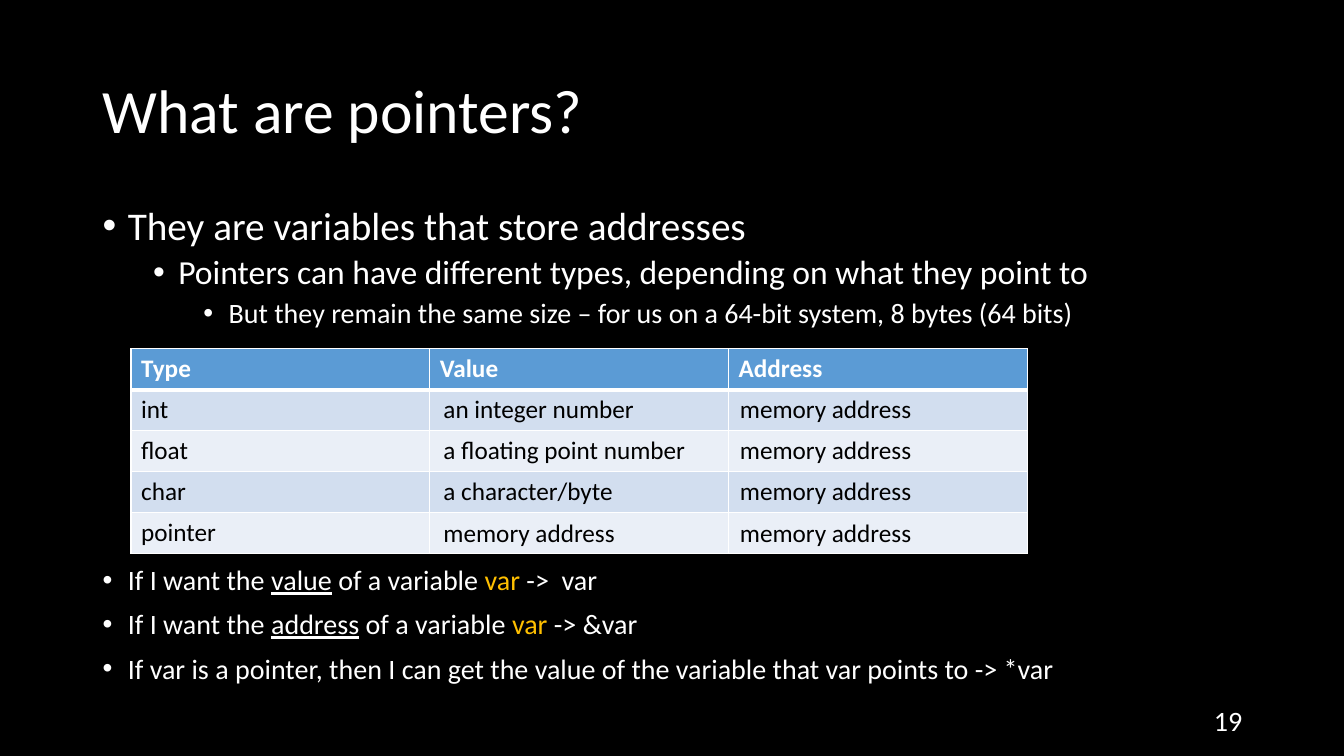
from dataclasses import dataclass

from lxml.etree import SubElement
from pptx import Presentation
from pptx.dml.color import RGBColor
from pptx.enum.text import MSO_ANCHOR, PP_ALIGN
from pptx.oxml.ns import qn
from pptx.util import Inches, Pt


@dataclass(frozen=True)
class Theme:
    font: str = "Calibri"
    back: str = "000000"
    light: str = "FFFFFF"
    dark: str = "000000"
    accent: str = "FFC000"
    head: str = "5B9BD5"
    bands: tuple = ("D2DEEF", "EAEFF7")
    title: int = 44
    levels: tuple = (28, 24, 20)
    small: int = 20
    cell: int = 18


def write(para, text, size, color, font, bold=False, under=False):
    """Add one formatted run to a paragraph."""
    run = para.add_run()
    run.text = text
    run.font.name = font
    run.font.size = Pt(size)
    run.font.bold = bold
    run.font.underline = under
    run.font.color.rgb = RGBColor.from_string(color)


class Deck:
    def __init__(self, theme):
        self.theme = theme
        self.file = Presentation()
        self.file.slide_width = Inches(13.33)
        self.file.slide_height = Inches(7.5)
        self.slide = self.file.slides.add_slide(self.file.slide_layouts[6])
        fill = self.slide.background.fill
        fill.solid()
        fill.fore_color.rgb = RGBColor.from_string(theme.back)

    def frame(self, left, top, width, height, anchor=MSO_ANCHOR.TOP):
        box = self.slide.shapes.add_textbox(
            Inches(left), Inches(top), Inches(width), Inches(height))
        frame = box.text_frame
        frame.word_wrap = True
        frame.vertical_anchor = anchor
        return frame

    def label(self, text, area, size, color, align=PP_ALIGN.LEFT,
              anchor=MSO_ANCHOR.TOP, spacing=1.0):
        para = self.frame(*area, anchor=anchor).paragraphs[0]
        para.alignment = align
        para.line_spacing = spacing
        write(para, text, size, color, self.theme.font)

    def bullets(self, items, area):
        """Each item is (level, size, runs); a run is (text, format)."""
        frame = self.frame(*area)
        for i, (level, size, runs) in enumerate(items):
            para = frame.add_paragraph() if i else frame.paragraphs[0]
            para.level = level
            para.line_spacing = 0.9
            para.space_before = Pt(5 if level else 10)
            props = para._p.get_or_add_pPr()
            props.set("marL", str(Inches(0.25 + 0.5 * level)))
            props.set("indent", str(Inches(-0.25)))
            SubElement(props, qn("a:buFont"), typeface="Arial")
            SubElement(props, qn("a:buChar"), char="•")
            for text, form in runs:
                style = {"color": self.theme.light, **form}
                write(para, text, size, font=self.theme.font, **style)

    def border(self, cell, base):
        props = cell._tc.get_or_add_tcPr()
        widths = {"a:lnL": 1, "a:lnR": 1, "a:lnT": 1, "a:lnB": base}
        for i, (tag, width) in enumerate(widths.items()):
            line = props.makeelement(qn(tag), {"w": str(Pt(width))})
            fill = SubElement(line, qn("a:solidFill"))
            SubElement(fill, qn("a:srgbClr"), val=self.theme.light)
            props.insert(i, line)

    def table(self, rows, area):
        style = self.theme
        count, width = len(rows), len(rows[0])
        table = self.slide.shapes.add_table(
            count, width, *(Inches(n) for n in area)).table
        for r, row in enumerate(rows):
            color = style.bands[(r - 1) % 2] if r else style.head
            for c, text in enumerate(row):
                cell = table.cell(r, c)
                cell.fill.solid()
                cell.fill.fore_color.rgb = RGBColor.from_string(color)
                self.border(cell, base=1 if r else 3)
                para = cell.text_frame.paragraphs[0]
                para.font.size = Pt(style.cell)
                if text:
                    write(para, text, style.cell,
                          style.dark if r else style.light,
                          style.font, bold=r == 0)


def main():
    theme = Theme()
    deck = Deck(theme)

    # Title
    deck.label("What are pointers?", (0.92, 0.4, 11.5, 1.45), theme.title,
               theme.light, anchor=MSO_ANCHOR.MIDDLE, spacing=0.9)

    # Opening points, one level deeper each
    points = [
        "They are variables that store addresses",
        "Pointers can have different types, depending on what they point to",
        "But they remain the same size – for us on a 64-bit system, "
        "8 bytes (64 bits)",
    ]
    deck.bullets([(i, theme.levels[i], [(text, {})])
                  for i, text in enumerate(points)], (0.92, 2, 11.5, 1.4))

    # Table of types
    kinds = ["int", "float", "char", "pointer"]
    rows = [["Type", "Value", "Address"]] + [[kind, "", ""] for kind in kinds]
    deck.table(rows, (1.3, 3.46, 8.89, 2.03))

    # Answers laid over the empty cells
    values = ["an integer number", "a floating point number",
              "a character/byte", "memory address"]
    for i, value in enumerate(values):
        top = 3.85 + 0.41 * i
        for left, text in ((4.3, value), (7.24, "memory address")):
            deck.label(text, (left, top, 2.69, 0.4), theme.cell, theme.dark)

    # Rules for reading a variable
    rules = [[("If I want the ", {}), (word, {"under": True}),
              (" of a variable ", {}), ("var", {"color": theme.accent}),
              (end, {})]
             for word, end in (("value", " ->  var"), ("address", " -> &var"))]
    rules.append([("If var is a pointer, then I can get the value of the "
                   "variable that var points to -> *var", {})])
    deck.bullets([(0, theme.small, runs) for runs in rules],
                 (0.92, 5.57, 11.5, 1.4))

    # Slide number
    deck.label("19", (9.42, 6.95, 3, 0.4), theme.small, theme.light,
               align=PP_ALIGN.RIGHT, anchor=MSO_ANCHOR.MIDDLE)

    deck.file.save("out.pptx")


if __name__ == "__main__":
    main()
